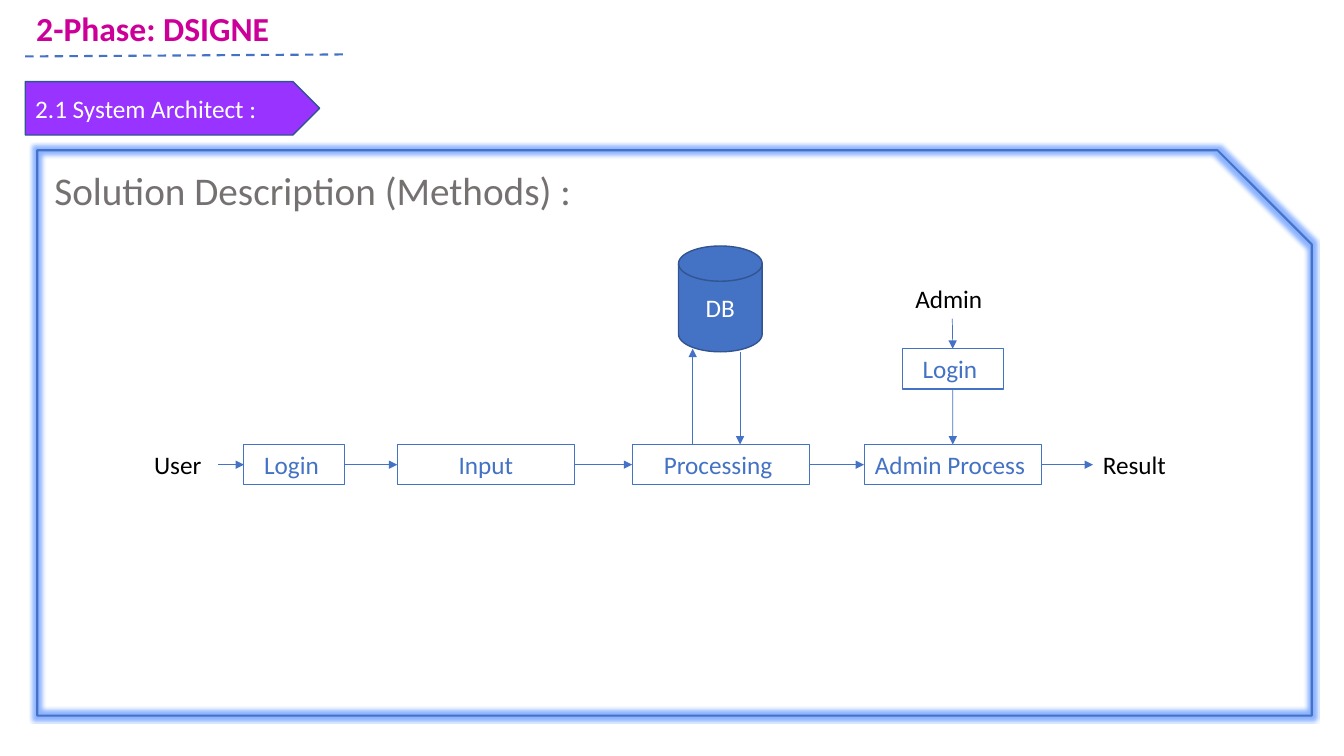
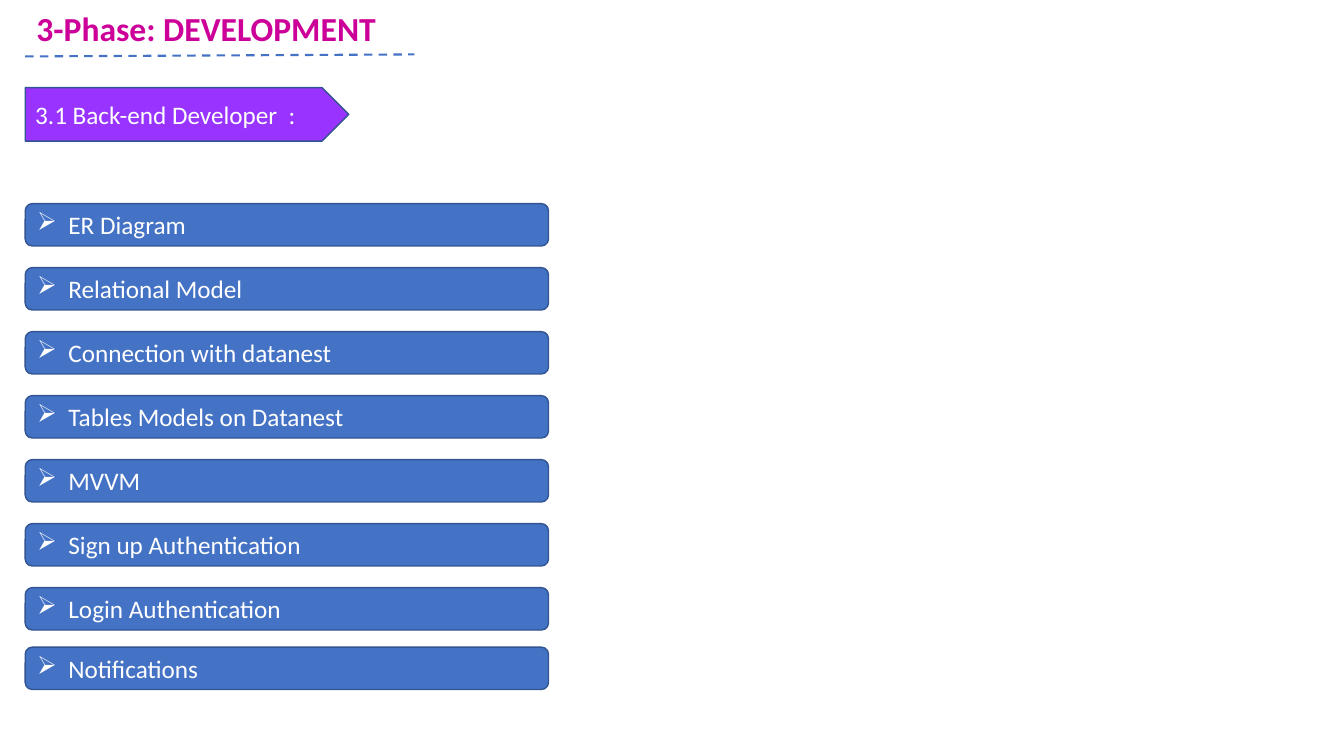
from lxml import etree
from pptx import Presentation
from pptx import util as u
from pptx.dml.color import RGBColor
from pptx.enum import dml, shapes, text
from pptx.oxml import ns

# Shared look
BLUE = RGBColor(0x44, 0x72, 0xC4)
NAVY = RGBColor(0x32, 0x54, 0x91)
PURPLE = RGBColor(0x99, 0x33, 0xFF)
MAGENTA = RGBColor(0xCC, 0x00, 0x99)
GREY = RGBColor(0x76, 0x71, 0x71)
GLOW = RGBColor(0x40, 0x80, 0xFF)
BLACK = RGBColor(0, 0, 0)
WHITE = RGBColor(0xFF, 0xFF, 0xFF)
FONT = "Calibri"
LEFT = 0.25
FORM = shapes.MSO_SHAPE
TOP, WEST, BOTTOM, EAST = range(4)

# Content: title, title width, rule end, tag, tag top, tag width
HEADERS = {
    "design": ("2-Phase: DSIGNE", 2.53, 3.42, "2.1 System Architect :", 0.81, 2.92),
    "development": ("3-Phase: DEVELOPMENT", 3.59, 4.11, "3.1 Back-end Developer  :", 0.87, 3.21),
}
PANEL = (0.37, 1.49, 12.64, 5.61)
SUBTITLE = ("Solution Description (Methods) :", (0.44, 1.6, 5.39, 0.57))

# Flow chart: rows by top, boxes by left and width
FLOW_ROW, LOGIN_ROW, ADMIN_ROW, NODE_H = 4.41, 3.46, 2.76, 0.4
LABELS = {
    "user": ("User", 1.43, FLOW_ROW, 0.73),
    "result": ("Result", 10.84, FLOW_ROW, 0.89),
    "admin": ("Admin", 8.98, ADMIN_ROW, 0.93),
}
BOXES = {
    "user login": ("Login ", 2.42, FLOW_ROW, 1),
    "input": ("Input", 3.94, FLOW_ROW, 1.76),
    "processing": ("Processing ", 6.27, FLOW_ROW, 1.76),
    "admin process": ("Admin Process ", 8.57, FLOW_ROW, 1.76),
    "admin login": ("Login ", 8.95, LOGIN_ROW, 1),
}
FLOWS = [
    (("user", "user login", "input", "processing", "admin process", "result"), EAST, WEST),
    (("admin", "admin login", "admin process"), BOTTOM, TOP),
]
DATABASE = ("DB", (6.73, 2.44, 0.83, 1.05))
DATABASE_ARROWS = [(6.87, FLOW_ROW, LOGIN_ROW), (7.34, 3.49, FLOW_ROW)]

TOPICS = [
    "ER Diagram", "Relational Model", "Connection with datanest",
    "Tables Models on Datanest", "MVVM", "Sign up Authentication",
    "Login Authentication", "Notifications",
]
TOPIC_TOP, TOPIC_PITCH, TOPIC_LAST = 2.02, 0.635, 6.42
TOPIC_W, TOPIC_H, TOPIC_INDENT = 5.19, 0.42, 0.31


def inches(values):
    return [u.Inches(value) for value in values]


def add_xml(parent, tag, **attributes):
    return etree.SubElement(parent, ns.qn(tag), attributes)


def write(box, words, size, color, align=text.PP_ALIGN.LEFT,
          anchor=text.MSO_ANCHOR.MIDDLE, wrap=True, bold=False):
    frame = box.text_frame
    frame.word_wrap, frame.vertical_anchor = wrap, anchor
    para = frame.paragraphs[0]
    para.alignment = align
    span = para.add_run()
    span.text = words
    span.font.color.rgb = color
    for name, value in {"name": FONT, "size": u.Pt(size), "bold": bold}.items():
        setattr(span.font, name, value)
    return para


def add_box(page, form, place, line, width, fill=None):
    box = page.shapes.add_shape(form, *inches(place))
    box.shadow.inherit = False
    if fill is None:
        box.fill.background()
    else:
        box.fill.solid()
        box.fill.fore_color.rgb = fill
    box.line.color.rgb, box.line.width = line, u.Pt(width)
    return box


def add_label(page, words, place, size, color):
    box = page.shapes.add_textbox(*inches(place))
    write(box, words, size, color, anchor=text.MSO_ANCHOR.TOP, wrap=False)
    return box


def add_line(page, points, width):
    line = page.shapes.add_connector(shapes.MSO_CONNECTOR.STRAIGHT, *inches(points))
    line.line.color.rgb, line.line.width = BLUE, u.Pt(width)
    add_xml(line._element.spPr, "a:effectLst")
    return line


def add_arrow(page, points):
    arrow = add_line(page, points, 0.5)
    add_xml(arrow.line._get_or_add_ln(), "a:tailEnd", type="triangle")
    return arrow


def add_page(deck, header):
    title, title_w, rule_end, tag, tag_top, tag_w = header
    page = deck.slides.add_slide(deck.slide_layouts[5])
    box = page.shapes.title
    box.left, box.top, box.width, box.height = inches((LEFT, 0.03, title_w, 0.5))
    write(box, title, 24, MAGENTA, text.PP_ALIGN.CENTER,
          text.MSO_ANCHOR.TOP, wrap=False, bold=True)
    rule = add_line(page, (LEFT, 0.56, rule_end, 0.54), 1.5)
    rule.line.dash_style = dml.MSO_LINE.DASH
    band = add_box(page, FORM.PENTAGON, (LEFT, tag_top, tag_w, 0.53), NAVY, 1, PURPLE)
    write(band, tag, 18, WHITE)
    return page


def build_design(deck):
    page = add_page(deck, HEADERS["design"])
    # Glowing panel
    panel = add_box(page, FORM.SNIP_1_RECTANGLE, PANEL, BLUE, 1.5)
    effects = panel._element.spPr.find(ns.qn("a:effectLst"))
    glow = add_xml(effects, "a:glow", rad=str(u.Pt(5)))
    add_xml(add_xml(glow, "a:srgbClr", val=str(GLOW)), "a:alpha", val="60000")
    add_label(page, *SUBTITLE, 28, GREY)

    # Nodes and the arrows that join them
    nodes = {}
    for key, (words, left, top, width) in LABELS.items():
        nodes[key] = add_label(page, words, (left, top, width, NODE_H), 18, BLACK)
    for key, (words, left, top, width) in BOXES.items():
        nodes[key] = add_box(page, FORM.RECTANGLE, (left, top, width, NODE_H), BLUE, 0.75)
        write(nodes[key], words, 18, BLUE, text.PP_ALIGN.CENTER)
    for chain, leave, enter in FLOWS:
        for start, end in zip(chain, chain[1:]):
            arrow = add_arrow(page, (0, 0, 0, 0))
            arrow.begin_connect(nodes[start], leave)
            arrow.end_connect(nodes[end], enter)

    # Database
    for x, start, end in DATABASE_ARROWS:
        add_arrow(page, (x, start, x, end))
    words, place = DATABASE
    disk = add_box(page, FORM.FLOWCHART_MAGNETIC_DISK, place, NAVY, 1, BLUE)
    write(disk, words, 18, WHITE, text.PP_ALIGN.CENTER)


def build_development(deck):
    page = add_page(deck, HEADERS["development"])
    for row, topic in enumerate(TOPICS):
        top = min(TOPIC_TOP + row * TOPIC_PITCH, TOPIC_LAST)
        bar = add_box(page, FORM.ROUNDED_RECTANGLE,
                      (LEFT, top, TOPIC_W, TOPIC_H), NAVY, 1, BLUE)
        props = write(bar, topic, 18, WHITE)._p.get_or_add_pPr()
        props.set("marL", str(u.Inches(TOPIC_INDENT)))
        props.set("indent", str(-u.Inches(TOPIC_INDENT)))
        add_xml(props, "a:buChar", char="➢")


def main():
    deck = Presentation()
    deck.slide_width, deck.slide_height = inches((13.33, 7.5))
    build_design(deck)
    build_development(deck)
    deck.save("out.pptx")


if __name__ == "__main__":
    main()
